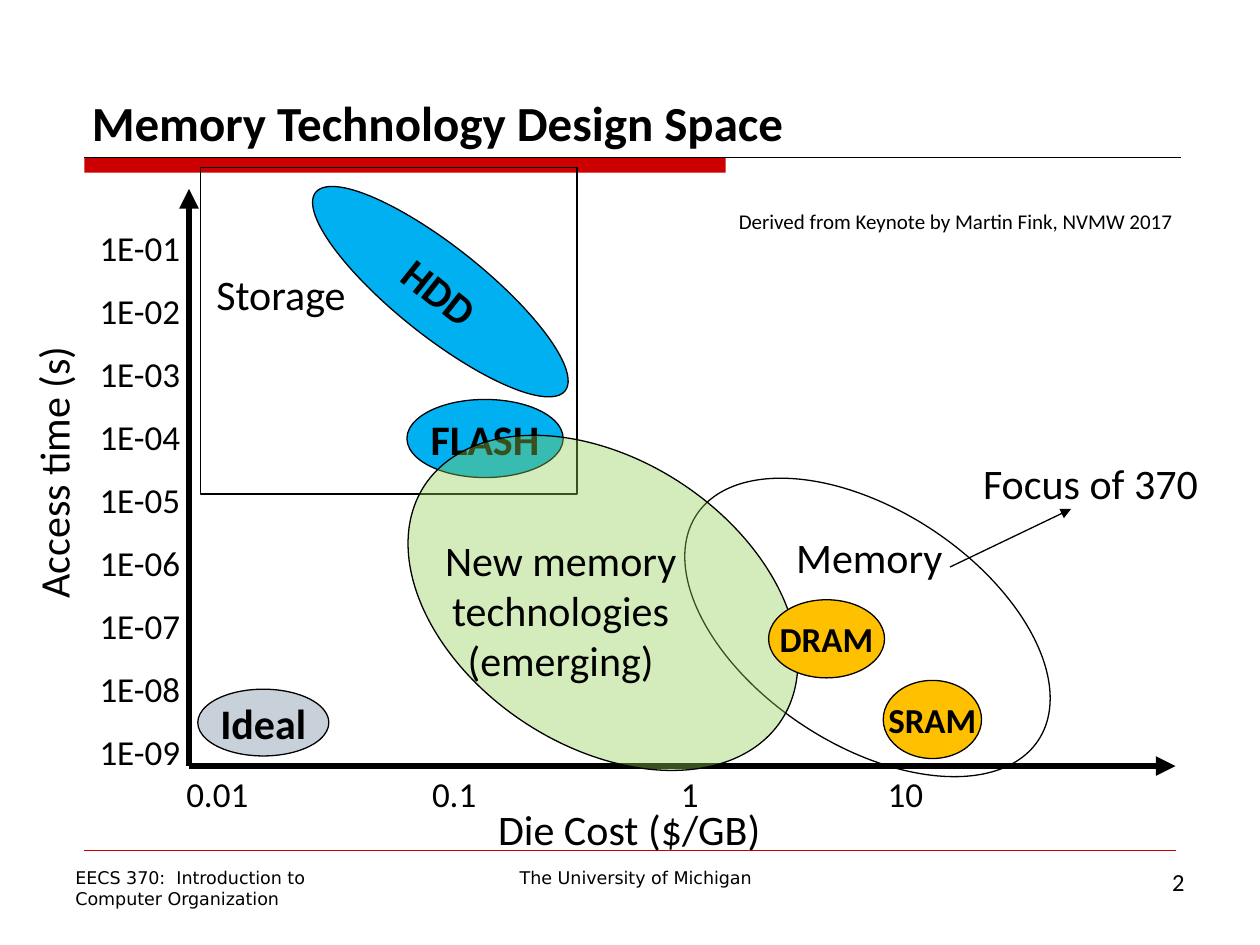
from dataclasses import dataclass

from lxml import etree
from pptx import Presentation
from pptx.dml.color import RGBColor
from pptx.enum.shapes import MSO_CONNECTOR, MSO_SHAPE
from pptx.enum.text import MSO_ANCHOR, PP_ALIGN
from pptx.oxml.ns import qn
from pptx.util import Inches, Pt

OVAL, RECTANGLE = MSO_SHAPE.OVAL, MSO_SHAPE.RECTANGLE
STRAIGHT = MSO_CONNECTOR.STRAIGHT
LEFT, CENTER, RIGHT = PP_ALIGN.LEFT, PP_ALIGN.CENTER, PP_ALIGN.RIGHT
TOP, MIDDLE, BOTTOM = MSO_ANCHOR.TOP, MSO_ANCHOR.MIDDLE, MSO_ANCHOR.BOTTOM

BLACK = RGBColor(0x00, 0x00, 0x00)
WHITE = RGBColor(0xFF, 0xFF, 0xFF)
RED = RGBColor(0xCC, 0x00, 0x00)
BLUE = RGBColor(0x00, 0xB0, 0xF0)
GREEN = RGBColor(0x92, 0xD0, 0x50)
ORANGE = RGBColor(0xFF, 0xC0, 0x00)
GRAY = RGBColor(0xC8, 0xD1, 0xDA)

BODY_FONT, FOOTER_FONT = "Calibri", "DejaVu Sans"


@dataclass
class Label:
    text: str
    left: float
    top: float
    width: float
    height: float = 0.5
    size: int = 24
    align: PP_ALIGN = CENTER
    anchor: MSO_ANCHOR = TOP
    font: str = BODY_FONT
    bold: bool = False
    rotation: float = 0


@dataclass
class Region:
    left: float
    top: float
    width: float
    height: float
    fill: RGBColor | None = None
    text: str = ""
    size: int = 24
    rotation: float = 0
    opacity: int = 100
    kind: MSO_SHAPE = OVAL
    outlined: bool = True


@dataclass
class Line:
    start: tuple[float, float]
    end: tuple[float, float]
    width: float = 0.75
    color: RGBColor = BLACK
    arrow: bool = False


def write_text(frame, text: str, size: int, font: str, bold: bool, align: PP_ALIGN) -> None:
    frame.text = text
    for paragraph in frame.paragraphs:
        paragraph.alignment = align
        paragraph.font.size = Pt(size)
        paragraph.font.name = font
        paragraph.font.bold = bold
        paragraph.font.color.rgb = BLACK


def draw_label(slide, label: Label) -> None:
    box = slide.shapes.add_textbox(Inches(label.left), Inches(label.top),
                                   Inches(label.width), Inches(label.height))
    box.rotation = label.rotation
    box.text_frame.word_wrap = True
    box.text_frame.vertical_anchor = label.anchor
    write_text(box.text_frame, label.text, label.size, label.font, label.bold, label.align)


def draw_region(slide, region: Region) -> None:
    shape = slide.shapes.add_shape(region.kind, Inches(region.left), Inches(region.top),
                                   Inches(region.width), Inches(region.height))
    shape.shadow.inherit = False
    shape.rotation = region.rotation
    if region.fill is None:
        shape.fill.background()
    else:
        shape.fill.solid()
        shape.fill.fore_color.rgb = region.fill
    if region.opacity < 100:
        color = shape.fill._xPr.find(qn("a:solidFill"))[0]
        etree.SubElement(color, qn("a:alpha"), val=str(region.opacity * 1000))
    if region.outlined:
        shape.line.color.rgb = BLACK
        shape.line.width = Pt(0.75)
    else:
        shape.line.fill.background()
    if region.text:
        shape.text_frame.word_wrap = False
        shape.text_frame.vertical_anchor = MIDDLE
        write_text(shape.text_frame, region.text, region.size, BODY_FONT, True, CENTER)


def draw_line(slide, line: Line) -> None:
    connector = slide.shapes.add_connector(STRAIGHT, *map(Inches, line.start + line.end))
    connector.line.color.rgb = line.color
    connector.line.width = Pt(line.width)
    if line.arrow:
        etree.SubElement(connector.line._get_or_add_ln(), qn("a:tailEnd"), type="triangle")
    etree.SubElement(connector._element.spPr, qn("a:effectLst"))


# Title, rules and footer
FRAME = [
    Region(0.67, 1.25, 5.09, 0.12, RED, kind=RECTANGLE, outlined=False),
    Line((0.67, 1.25), (9.37, 1.25), 0.5),
    Line((0.67, 6.75), (9.33, 6.75), 0.25, RED),
    Label("The University of Michigan", 3.17, 6.83, 3.75, 0.27, 10, font=FOOTER_FONT),
    Label("EECS 370:  Introduction to\nComputer Organization", 0.5, 6.83, 2.75, 0.43, 10,
          LEFT, font=FOOTER_FONT),
    Label("Memory Technology Design Space", 0.63, 0.33, 8.75, 0.92, 28, LEFT, BOTTOM,
          bold=True),
    Label("2", 7.17, 6.83, 2.33, 0.52, 14, RIGHT),
]

# Axes with their titles and tick labels
ORIGIN = (1.5, 6.08)
COST_TICKS = {"0.01": 1.33, "0.1": 3.21, "1": 5.08, "10": 6.79}
AXES = [
    Line(ORIGIN, (9.33, 6.08), 3.75, arrow=True),
    Line(ORIGIN, (1.5, 1.5), 3.75, arrow=True),
    Label("Access time (s)", -0.83, 3.5, 2.5, rotation=270),
    Label("Die Cost ($/GB)", 3.83, 6.33, 2.33),
    *(Label(text, left, 6.08, 0.79, 0.44, 20) for text, left in COST_TICKS.items()),
    *(Label(f"1E-0{power}", 0.64, 1.25 + 0.5 * power, 0.94, 0.44, 20)
      for power in range(9, 0, -1)),
]

# Memory technologies, from back to front
TECHNOLOGIES = [
    Region(3.23, 3.17, 1.24, 0.62, BLUE, "FLASH"),
    Region(1.59, 1.33, 2.99, 2.59, kind=RECTANGLE),
    Label("Storage", 1.6, 2.08, 1.26),
    Region(2.23, 1.96, 2.53, 0.71, BLUE, "HDD", rotation=38.5),
    Region(5.26, 4.05, 3.25, 1.86, rotation=33.4),
    Label("Memory", 6.21, 4.17, 1.38),
    Region(7.01, 5.4, 0.78, 0.62, ORANGE, "SRAM", 20),
    Region(3.09, 3.65, 3.39, 2.27, GREEN, rotation=33.4, opacity=39),
    Label("New memory technologies\n(emerging)", 3.25, 4.19, 2.4, 1.31),
    Region(6.1, 4.76, 0.92, 0.62, ORANGE, "DRAM", 20),
    Region(1.57, 5.47, 1.04, 0.53, GRAY, "Ideal"),
    Label("Focus of 370", 7.56, 3.58, 2.19),
    Line((7.54, 4.5), (8.5, 4.04), arrow=True),
    Label("Derived from Keynote by Martin Fink, NVMW 2017", 5.74, 1.61, 3.69, 0.3, 12),
]

DRAWERS = {Label: draw_label, Region: draw_region, Line: draw_line}


def main() -> None:
    presentation = Presentation()
    presentation.slide_width, presentation.slide_height = Inches(10), Inches(7.5)
    slide = presentation.slides.add_slide(presentation.slide_layouts[6])
    slide.background.fill.solid()
    slide.background.fill.fore_color.rgb = WHITE
    for element in FRAME + AXES + TECHNOLOGIES:
        DRAWERS[type(element)](slide, element)
    presentation.save("out.pptx")


if __name__ == "__main__":
    main()
